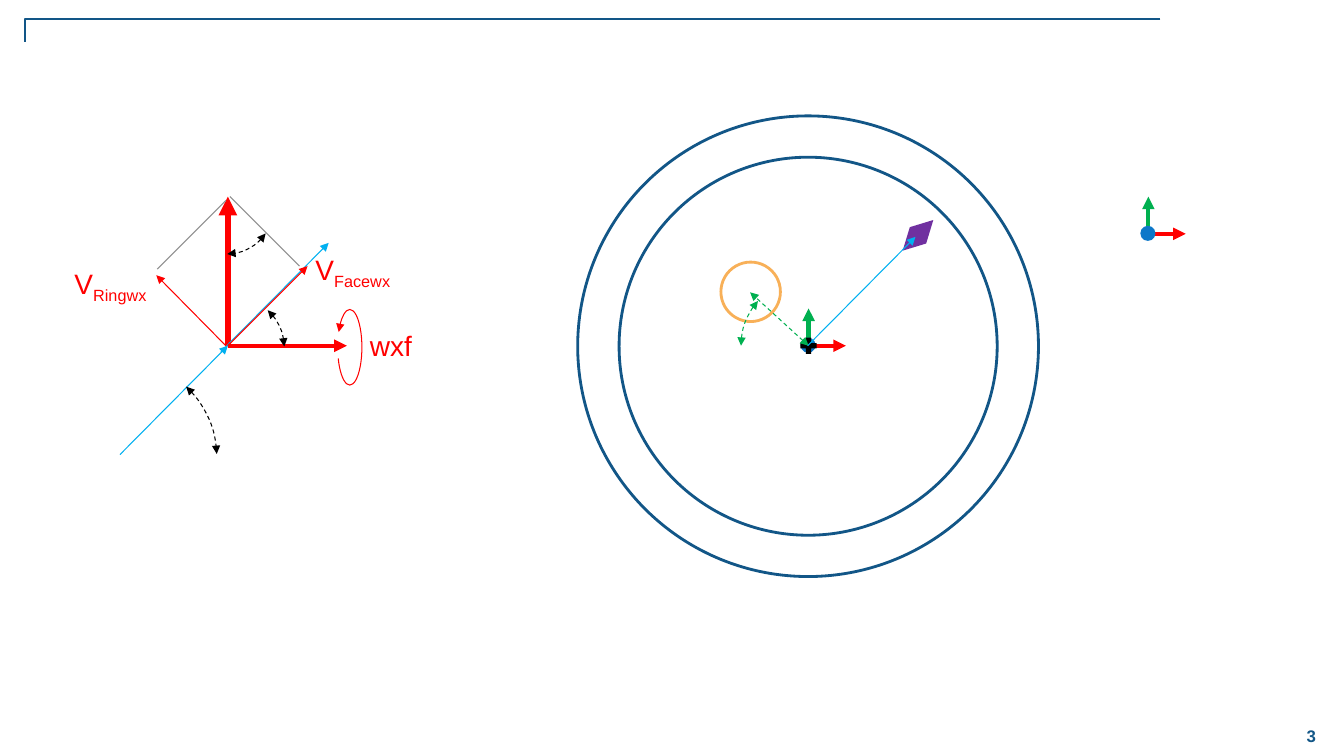
from dataclasses import dataclass
from lxml.etree import SubElement
from pptx import Presentation
from pptx.dml.color import RGBColor
from pptx.enum.dml import MSO_LINE_DASH_STYLE as Dash
from pptx.enum.shapes import MSO_CONNECTOR as Connector, MSO_SHAPE as Shape
from pptx.enum.text import MSO_ANCHOR as Anchor, MSO_AUTO_SIZE as AutoSize, PP_ALIGN as Align
from pptx.oxml.ns import qn
from pptx.util import Inches, Pt


@dataclass(frozen=True)
class Theme:
    font: str = "Arial"
    label_size: int = 20
    number_size: int = 12
    navy: str = "125687"
    blue: str = "0D78C9"
    sky: str = "00B0F0"
    red: str = "FF0000"
    green: str = "00B050"
    purple: str = "7030A0"
    orange: str = "F8B058"
    grey: str = "8F8F8F"
    black: str = "000000"
    white: str = "FFFFFF"


theme = Theme()


def add_line(shapes, start, end, color, width, ends="", dashed=False, kind=Connector.STRAIGHT):
    line = shapes.add_connector(kind, *(Inches(v) for v in (*start, *end)))
    SubElement(line._element.spPr, qn("a:effectLst"))
    set_outline(line, color, width, ends, dashed)
    return line


def set_outline(shape, color, width, ends="", dashed=False):
    shape.line.color.rgb = RGBColor.from_string(color)
    shape.line.width = Pt(width)
    if dashed:
        shape.line.dash_style = Dash.DASH
    for end in ends.split():
        SubElement(shape.line._get_or_add_ln(), qn(f"a:{end}End"), type="triangle")


deck = Presentation()
deck.slide_width, deck.slide_height = Inches(13.33), Inches(7.5)
page = deck.slides.add_slide(deck.slide_layouts[6])

# Header rule: an elbow whose bend lies at its far end
rule = add_line(page.shapes, (11.51, 0.19), (0.25, 0.42), theme.navy, 1, kind=Connector.ELBOW)
guides = rule._element.spPr.find(qn("a:prstGeom")).get_or_add_avLst()
SubElement(guides, qn("a:gd"), name="adj1", fmla="val 100000")

# Coordinate frames: red x axis, green y axis, blue origin
axis = 0.37
frames = []
for x, y in [(11.39, 2.32), (8.02, 3.43)]:
    frame = page.shapes.add_group_shape()
    add_line(frame.shapes, (x, y), (x + axis, y), theme.red, 3, "tail")
    add_line(frame.shapes, (x, y), (x, y - axis), theme.green, 3, "tail")
    origin = frame.shapes.add_shape(
        Shape.OVAL, Inches(x - 0.08), Inches(y - 0.08), Inches(0.15), Inches(0.15))
    origin.shadow.inherit = False
    origin.fill.solid()
    origin.fill.fore_color.rgb = RGBColor.from_string(theme.blue)
    origin.line.fill.background()

# Rings, tool and centre mark: preset, left, top, width, height, turn, fill, outline
for preset, left, top, width, height, turn, fill, outline in [
    (Shape.DIAMOND, 8.99, 2.12, 0.23, 0.43, 45, theme.purple, None),
    (Shape.OVAL, 6.14, 1.56, 3.75, 3.75, 0, None, theme.navy),
    (Shape.OVAL, 5.73, 1.15, 4.57, 4.57, 0, None, theme.navy),
    (Shape.OVAL, 7.15, 2.6, 0.59, 0.59, 0, theme.white, theme.orange),
    (Shape.MATH_PLUS, 7.91, 3.32, 0.22, 0.22, 0, theme.black, None),
]:
    part = page.shapes.add_shape(preset, *(Inches(v) for v in (left, top, width, height)))
    part.shadow.inherit = False
    part.rotation = turn
    if fill:
        part.fill.solid()
        part.fill.fore_color.rgb = RGBColor.from_string(fill)
    else:
        part.fill.background()
    if outline:
        set_outline(part, outline, 2)
    else:
        part.line.fill.background()

# Vectors from the ring centre
add_line(page.shapes, (8.02, 3.43), (7.44, 2.9), theme.green, 0.75, "head tail", dashed=True)
add_line(page.shapes, (8.01, 3.43), (9.08, 2.35), theme.sky, 0.75, "tail")

# Velocity diagram
pivot = (2.26, 3.43)
for start, end, color, width, ends in [
    (pivot, (2.26, 1.95), theme.red, 4.5, "tail"),
    ((1.19, 4.51), pivot, theme.sky, 0.75, "tail"),
    ((2.19, 3.49), (3.26, 2.41), theme.sky, 0.75, "tail"),
    ((2.97, 2.64), (2.28, 1.95), theme.grey, 0.75, ""),
    (pivot, (3.44, 3.43), theme.red, 3, "tail"),
    (pivot, (3.05, 2.64), theme.red, 0.75, "tail"),
    ((2.24, 3.43), (1.55, 2.73), theme.red, 0.75, "tail"),
    ((1.56, 2.67), (2.24, 1.99), theme.grey, 0.75, ""),
]:
    add_line(page.shapes, start, end, color, width, ends)

# Angle and rotation arcs: box, start and end in degrees clockwise from the right
for left, top, width, height, first, last, color, ends, dashed in [
    (7.35, 2.76, 1.34, 1.34, 180, 221.5, theme.green, "head tail", True),
    (0.24, 3.58, 1.91, 1.91, 312.95, 358.12, theme.black, "head tail", True),
    (1.79, 2.94, 1.03, 1.03, 312.95, 358.12, theme.black, "head tail", True),
    (1.77, 1.57, 0.95, 0.95, 34.84, 88.88, theme.black, "head tail", True),
    (3.35, 3.07, 0.24, 0.75, 234, 135.74, theme.red, "head", False),
]:
    arc = page.shapes.add_shape(Shape.ARC, *(Inches(v) for v in (left, top, width, height)))
    arc.shadow.inherit = False
    arc.fill.background()
    # Adjustments count 100000ths, angles count 60000ths of a degree
    arc.adjustments[0], arc.adjustments[1] = first * 0.6, last * 0.6
    set_outline(arc, color, 0.75, ends, dashed)

# Labels with subscripts
for left, top, width, base, subscript in [
    (3.03, 2.46, 1.03, "V", "Facewx"),
    (0.64, 2.59, 1.0, "V", "Ringwx"),
    (3.57, 3.21, 0.62, "wxf", ""),
]:
    box = page.shapes.add_textbox(Inches(left), Inches(top), Inches(width), Inches(0.44))
    box.text_frame.word_wrap = False
    box.text_frame.auto_size = AutoSize.SHAPE_TO_FIT_TEXT
    para = box.text_frame.paragraphs[0]
    for text, offset in [(base, 0), (subscript, -25000)]:
        if text:
            span = para.add_run()
            span.text = text
            span.font.name = theme.font
            span.font.size = Pt(theme.label_size)
            span.font.color.rgb = RGBColor.from_string(theme.red)
            if offset:
                span.font._element.set("baseline", str(offset))

# Slide number
box = page.shapes.add_textbox(Inches(12.67), Inches(7.09), Inches(0.67), Inches(0.42))
box.text_frame.word_wrap = True
box.text_frame.vertical_anchor = Anchor.MIDDLE
para = box.text_frame.paragraphs[0]
para.alignment = Align.CENTER
span = para.add_run()
span.text = "3"
span.font.name = theme.font
span.font.size = Pt(theme.number_size)
span.font.bold = True
span.font.color.rgb = RGBColor.from_string(theme.navy)

deck.save("out.pptx")
